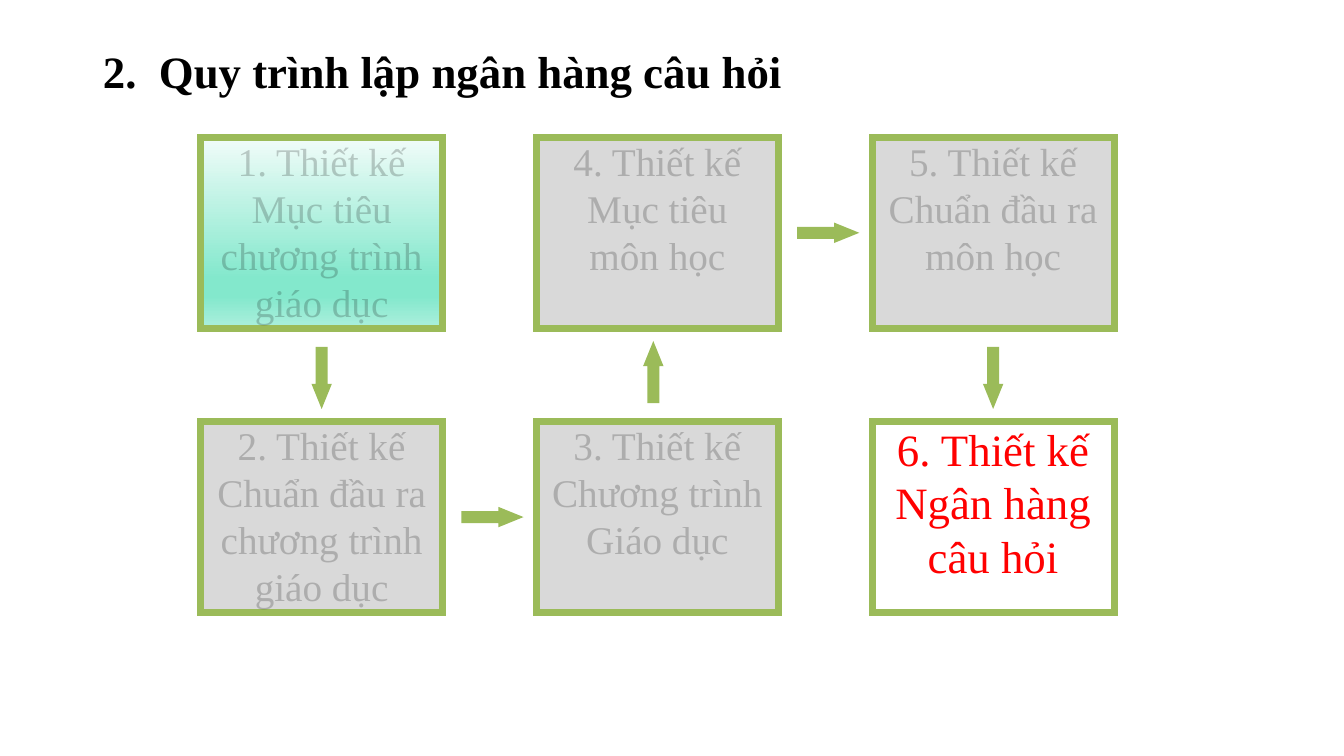
"""Build the slide showing the six-step process for creating a question bank."""
from itertools import pairwise
from math import atan2, degrees

from pptx import Presentation
from pptx.dml.color import RGBColor
from pptx.enum.shapes import MSO_SHAPE
from pptx.enum.text import MSO_ANCHOR, MSO_AUTO_SIZE, PP_ALIGN
from pptx.oxml.ns import qn
from pptx.util import Inches, Pt
from lxml.etree import SubElement

TITLE = "2.  Quy trình lập ngân hàng câu hỏi"
STEPS = [
    ((0, 0), ["1. Thiết kế", "Mục tiêu chương trình giáo dục"]),
    ((0, 1), ["2. Thiết kế", "Chuẩn đầu ra chương trình giáo dục"]),
    ((1, 1), ["3. Thiết kế", "Chương trình", "Giáo dục"]),
    ((1, 0), ["4. Thiết kế", "Mục tiêu", "môn học"]),
    ((2, 0), ["5. Thiết kế", "Chuẩn đầu ra môn học"]),
    ((2, 1), ["6. Thiết kế", "Ngân hàng câu hỏi"]),
]
FIRST_STEP_GRADIENT = [(0, "F1FCF9"), (74, "83E8CC"), (83, "83E8CC"), (100, "ACEFDD")]
FONT, GREEN, GRAY, WHITE, BLACK, RED = (
    "Times New Roman", "9BBB59", "D9D9D9", "FFFFFF", "000000", "FF0000")
LEFT, TOP, BOX_WIDTH, BOX_HEIGHT = 1.99, 1.36, 2.4, 1.9
COLUMN_STEP, ROW_STEP = 3.33, 2.82
ARROW_LENGTH, ARROW_THICKNESS = 0.49, 0.1
UP_ARROW_SHIFT = -0.04


def color(value):
    return RGBColor.from_string(value)


def style_font(font, size, value, bold=False):
    font.name, font.size, font.bold = FONT, Pt(size), bold
    font.color.rgb = color(value)


def add_outlined(slide, kind, left, top, width, height, fill):
    shape = slide.shapes.add_shape(
        kind, Inches(left), Inches(top), Inches(width), Inches(height))
    shape.shadow.inherit = False
    shape.fill.solid()
    shape.fill.fore_color.rgb = color(fill)
    shape.line.color.rgb = color(GREEN)
    shape.line.width = Pt(5)
    outline = shape.line._get_or_add_ln()
    SubElement(outline, qn("a:miter"), lim="800000")
    return shape


def apply_gradient(shape, stops):
    shape.fill.gradient()
    shape.fill.gradient_angle = 270
    stop_list = shape._element.spPr.find(".//" + qn("a:gsLst"))
    for stop in list(stop_list):
        stop_list.remove(stop)
    for position, value in stops:
        stop = SubElement(stop_list, qn("a:gs"), pos=str(position * 1000))
        SubElement(stop, qn("a:srgbClr"), val=value)


def add_step(slide, cell, lines, active):
    column, row = cell
    shape = add_outlined(
        slide, MSO_SHAPE.RECTANGLE, LEFT + column * COLUMN_STEP, TOP + row * ROW_STEP,
        BOX_WIDTH, BOX_HEIGHT, WHITE if active else GRAY)
    frame = shape.text_frame
    frame.margin_left = frame.margin_right = frame.margin_top = frame.margin_bottom = 0
    frame.vertical_anchor = MSO_ANCHOR.TOP
    frame.word_wrap = True
    frame.text = "\n".join(lines)
    for paragraph in frame.paragraphs:
        paragraph.alignment = PP_ALIGN.CENTER
        for run in paragraph.runs:
            style_font(run.font, 32 if active else 28, RED if active else BLACK)
            if not active:
                text_color = run._r.rPr.find(".//" + qn("a:srgbClr"))
                SubElement(text_color, qn("a:alpha"), val="20000")
    return shape


def add_arrow(slide, start, end):
    center_x = LEFT + BOX_WIDTH / 2 + (start[0] + end[0]) / 2 * COLUMN_STEP
    center_y = TOP + BOX_HEIGHT / 2 + (start[1] + end[1]) / 2 * ROW_STEP
    if end[1] < start[1]:
        center_x += UP_ARROW_SHIFT
    arrow = add_outlined(
        slide, MSO_SHAPE.RIGHT_ARROW, center_x - ARROW_LENGTH / 2,
        center_y - ARROW_THICKNESS / 2, ARROW_LENGTH, ARROW_THICKNESS, WHITE)
    arrow.adjustments[0], arrow.adjustments[1] = 0.5, 1.23
    arrow.rotation = degrees(atan2(end[1] - start[1], end[0] - start[0])) % 360


def add_title(slide):
    title = slide.shapes.title
    title.left, title.top, title.width, title.height = map(Inches, (0.92, 0.44, 11.5, 0.59))
    frame = title.text_frame
    frame.text = TITLE
    frame.word_wrap = True
    frame.auto_size = MSO_AUTO_SIZE.SHAPE_TO_FIT_TEXT
    frame.vertical_anchor = MSO_ANCHOR.MIDDLE
    paragraph = frame.paragraphs[0]
    paragraph.alignment = PP_ALIGN.LEFT
    paragraph.line_spacing = 0.9
    style_font(paragraph.runs[0].font, 32, BLACK, bold=True)


def main():
    presentation = Presentation()
    presentation.slide_width, presentation.slide_height = Inches(13.33), Inches(7.5)
    slide = presentation.slides.add_slide(presentation.slide_layouts[5])
    add_title(slide)
    last = len(STEPS) - 1
    boxes = [add_step(slide, cell, lines, index == last)
             for index, (cell, lines) in enumerate(STEPS)]
    apply_gradient(boxes[0], FIRST_STEP_GRADIENT)
    for (start, _), (end, _) in pairwise(STEPS):
        add_arrow(slide, start, end)
    presentation.save("out.pptx")


if __name__ == "__main__":
    main()
